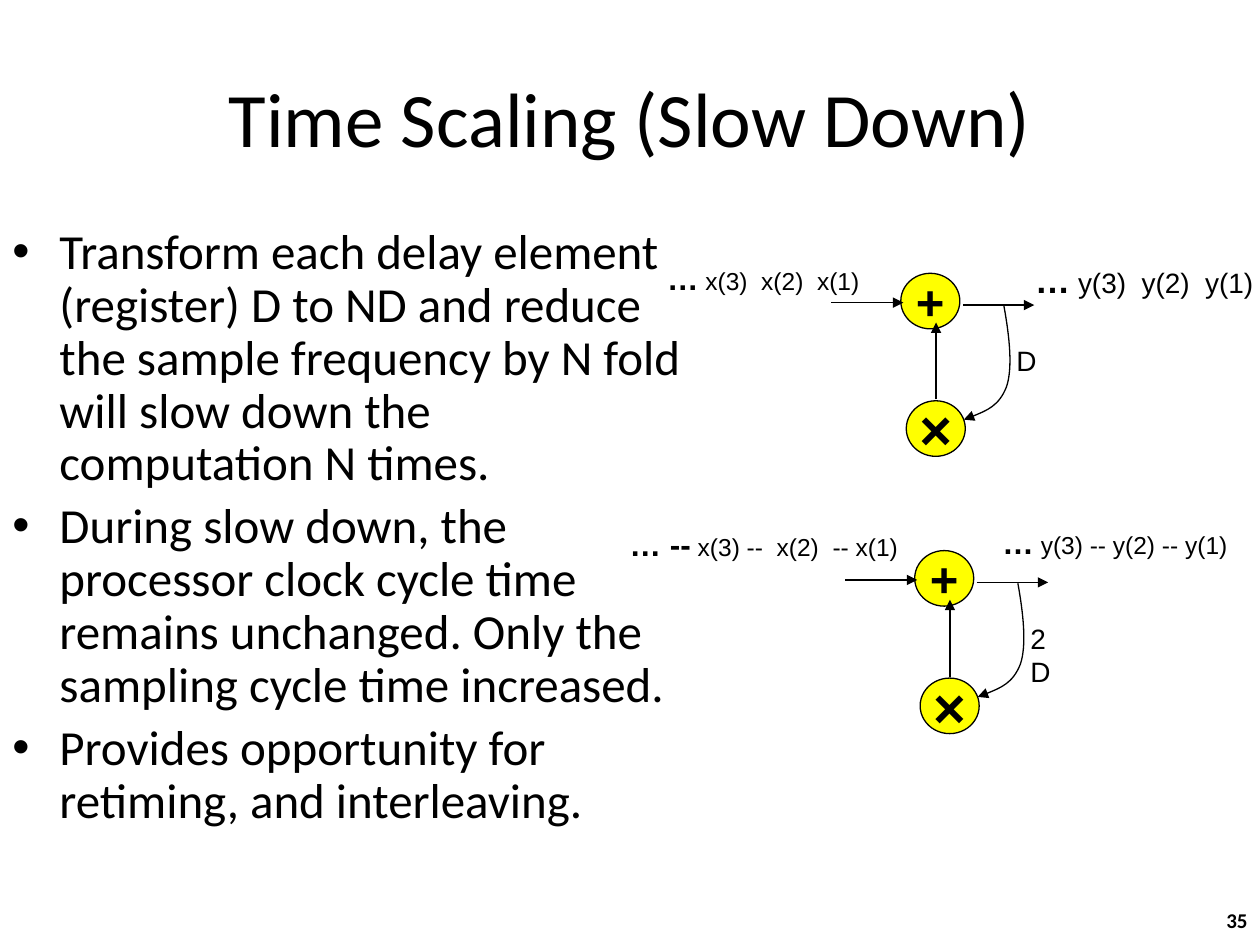
"""Build the slide on time scaling with two feedback circuits."""
from lxml.etree import SubElement
from pptx import Presentation
from pptx.dml.color import RGBColor
from pptx.enum.shapes import MSO_CONNECTOR, MSO_SHAPE
from pptx.enum.text import MSO_ANCHOR, PP_ALIGN
from pptx.oxml.ns import qn
from pptx.util import Cm, Pt

COLORS = {"ink": "000000", "node": "FFFF00", "background": "FFFFFF"}


def write(shape, paragraphs, font_name, align=PP_ALIGN.LEFT, anchor=MSO_ANCHOR.TOP, wrap=True):
    """Fill a shape with paragraphs, each a list of (text, size, bold) runs."""
    frame = shape.text_frame
    frame.word_wrap = wrap
    frame.vertical_anchor = anchor
    for index, runs in enumerate(paragraphs):
        paragraph = frame.paragraphs[0] if index == 0 else frame.add_paragraph()
        paragraph.alignment = align
        for text, size, bold in runs:
            run = paragraph.add_run()
            run.text = text
            run.font.name = font_name
            run.font.size = Pt(size)
            run.font.bold = bold
            run.font.color.rgb = RGBColor.from_string(COLORS["ink"])
    return frame


def style_arrow(shape):
    """Give a line or curve a thin stroke, an arrowhead and no shadow."""
    shape.line.color.rgb = RGBColor.from_string(COLORS["ink"])
    shape.line.width = Pt(0.75)
    SubElement(shape.line._get_or_add_ln(), qn("a:tailEnd"), type="triangle")
    SubElement(shape._element.spPr, qn("a:effectLst"))


presentation = Presentation()
presentation.slide_width = Cm(25.4)
presentation.slide_height = Cm(19.05)
slide = presentation.slides.add_slide(presentation.slide_layouts[6])
slide.background.fill.solid()
slide.background.fill.fore_color.rgb = RGBColor.from_string(COLORS["background"])
shapes = slide.shapes

title = shapes.add_textbox(Cm(1.27), Cm(0.76), Cm(22.86), Cm(3.18))
write(title, [[("Time Scaling (Slow Down)", 44, False)]], "Calibri", PP_ALIGN.CENTER, MSO_ANCHOR.MIDDLE)

points = [
    "Transform each delay element (register) D to ND and reduce the sample frequency by N fold "
    "will slow down the computation N times.",
    "During slow down, the processor clock cycle time remains unchanged. "
    "Only the sampling cycle time increased.",
    "Provides opportunity for retiming, and interleaving.",
]
body = shapes.add_textbox(Cm(0), Cm(4.45), Cm(14.17), Cm(12.57))
body_frame = write(body, [[(point, 28, False)] for point in points], "Calibri")
for paragraph in body_frame.paragraphs:
    paragraph.line_spacing = 0.9
    paragraph.space_before = Pt(5.6)
    properties = paragraph._p.get_or_add_pPr()
    properties.set("marL", str(Cm(0.95)))
    properties.set("indent", str(-Cm(0.95)))
    SubElement(properties, qn("a:buFont"), typeface="Arial")
    SubElement(properties, qn("a:buChar"), char="•")

nodes = [("+", 28, 18.16, 5.51), ("×", 32, 18.27, 8.08)]
arrows = [(18.87, 8.05, 18.87, 6.5), (16.76, 6.1, 18.21, 6.1), (19.41, 6.15, 20.85, 6.15)]
feedback = [(20.24, 6.17), (20.35, 6.78), (20.42, 7.42), (20.29, 7.8),
            (20.14, 8.18), (19.79, 8.33), (19.43, 8.46)]
circuits = [(0, 0, "D", 0.91), (0.28, 5.59, "2D", 1.19)]

for right, down, delay, delay_width in circuits:
    for symbol, size, left, top in nodes:
        node = shapes.add_shape(MSO_SHAPE.OVAL, Cm(left + right), Cm(top + down), Cm(1.19), Cm(1.12))
        node.shadow.inherit = False
        node.fill.solid()
        node.fill.fore_color.rgb = RGBColor.from_string(COLORS["node"])
        node.line.color.rgb = RGBColor.from_string(COLORS["ink"])
        node.line.width = Pt(0.75)
        write(node, [[(symbol, size, True)]], "Arial", PP_ALIGN.CENTER, MSO_ANCHOR.MIDDLE, False)

    for start_x, start_y, end_x, end_y in arrows:
        style_arrow(shapes.add_connector(
            MSO_CONNECTOR.STRAIGHT, Cm(start_x + right), Cm(start_y + down),
            Cm(end_x + right), Cm(end_y + down)))

    vertices = [(Cm(x + right), Cm(y + down)) for x, y in feedback]
    builder = shapes.build_freeform(*vertices[0])
    builder.add_line_segments(vertices[1:], close=False)
    curve = builder.convert_to_shape()
    curve.fill.background()
    segments = list(curve._element.iter(qn("a:lnTo")))
    outline = segments[0].getparent()
    for first in range(0, len(segments), 3):
        bezier = SubElement(outline, qn("a:cubicBezTo"))
        for segment in segments[first:first + 3]:
            bezier.append(segment[0])
            outline.remove(segment)
    style_arrow(curve)

    label = shapes.add_textbox(Cm(20.24 + right), Cm(6.81 + down), Cm(delay_width), Cm(0.93))
    write(label, [[(delay, 16, False)]], "Arial")

signals = [
    ("…", 18, " x(3)  x(2)  x(1)", 14, 12.8, 5.1, 4.78, PP_ALIGN.RIGHT),
    ("…", 20, " y(3)  y(2)  y(1)", 16, 20.62, 5.08, 4.98, PP_ALIGN.LEFT),
    ("… --", 18, " x(3) --  x(2)  -- x(1)", 14, 11.73, 10.46, 6.63, PP_ALIGN.RIGHT),
    ("…", 18, " y(3) -- y(2) -- y(1)", 14, 19.96, 10.41, 5.51, PP_ALIGN.LEFT),
]
for lead, lead_size, samples, sample_size, left, top, width, align in signals:
    signal = shapes.add_textbox(Cm(left), Cm(top), Cm(width), Cm(1.02))
    write(signal, [[(lead, lead_size, True), (samples, sample_size, False)]], "Arial", align)

page_number = shapes.add_textbox(Cm(19.48), Cm(18.03), Cm(5.92), Cm(1.02))
write(page_number, [[("35", 12, True)]], "Calibri", PP_ALIGN.RIGHT, MSO_ANCHOR.MIDDLE)

presentation.save("out.pptx")
